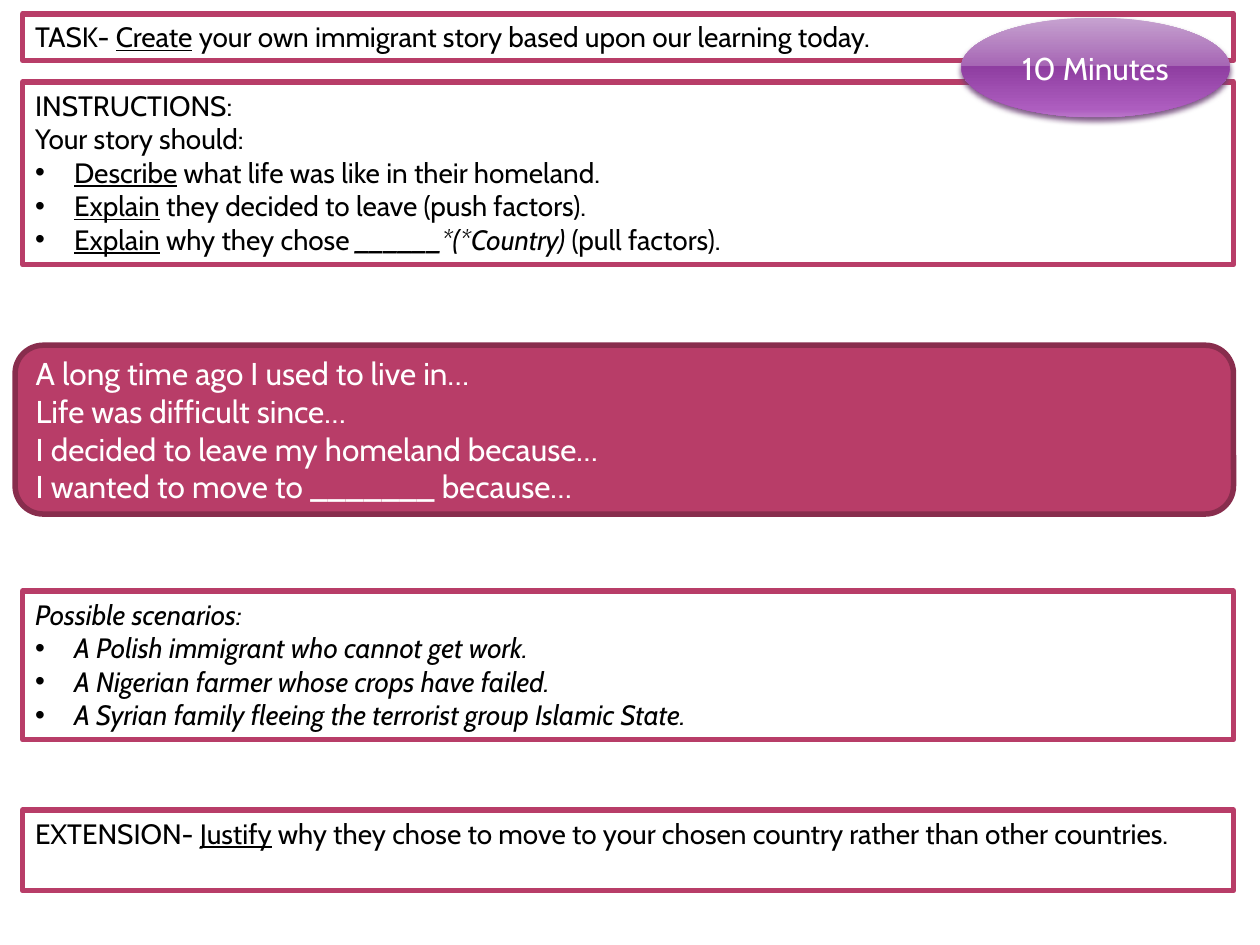
from dataclasses import dataclass

from lxml import etree
from pptx import Presentation
from pptx.dml.color import RGBColor
from pptx.enum.shapes import MSO_SHAPE
from pptx.enum.text import MSO_ANCHOR, PP_ALIGN
from pptx.oxml import parse_xml
from pptx.oxml.ns import nsdecls, qn
from pptx.util import Inches, Pt

RECTANGLE, ROUNDED, OVAL = MSO_SHAPE.RECTANGLE, MSO_SHAPE.ROUNDED_RECTANGLE, MSO_SHAPE.OVAL
TOP, MIDDLE = MSO_ANCHOR.TOP, MSO_ANCHOR.MIDDLE
LEFT, CENTER = PP_ALIGN.LEFT, PP_ALIGN.CENTER

WIDTH, HEIGHT = Inches(10), Inches(7.5)
COLUMNS, ROWS = 100, 75
PANEL_LEFT, PANEL_WIDTH = 1.8, 96.1  # columns


@dataclass(frozen=True)
class Theme:
    font: str = "Cabin"
    body: int = 16
    large: int = 18
    border: float = 3.15
    ink: str = "000000"
    paper: str = "FFFFFF"
    accent: str = "B83D68"
    accent_dark: str = "882D4D"
    shadow: str = "6A3F73"
    gloss: tuple = ((0, "C6A2D0"), (49, "A666B4"), (49, "8F3EA1"),
                    (92, "AD5DBF"), (100, "BA76CA"))


THEME = Theme()


def rgb(value):
    return RGBColor.from_string(value)


def add_box(page, kind, box, fill=None, line=None):
    """Add a shape at (column, row, columns wide, rows high)."""
    left, top, width, height = box
    shape = page.shapes.add_shape(
        kind, int(left * WIDTH / COLUMNS), int(top * HEIGHT / ROWS),
        int(width * WIDTH / COLUMNS), int(height * HEIGHT / ROWS))
    shape.shadow.inherit = False
    if fill:
        shape.fill.solid()
        shape.fill.fore_color.rgb = rgb(fill)
    if line:
        shape.line.color.rgb = rgb(line)
        shape.line.width = Pt(THEME.border)
    else:
        shape.line.fill.background()
    return shape


def add_bullet(para):
    properties = para._p.get_or_add_pPr()
    properties.set("marL", str(Inches(0.31)))
    properties.set("indent", str(-Inches(0.31)))
    etree.SubElement(properties, qn("a:buFont")).set("typeface", "Arial")
    etree.SubElement(properties, qn("a:buChar")).set("char", "•")


def write(shape, lines, size, color, anchor=TOP, align=LEFT, italic=None, bullets_from=None):
    """Write lines of spans; a span is plain text or a (text, style) pair."""
    frame = shape.text_frame
    frame.word_wrap = True
    frame.vertical_anchor = anchor
    for index, spans in enumerate(lines):
        para = frame.paragraphs[0] if index == 0 else frame.add_paragraph()
        if bullets_from is not None and index >= bullets_from:
            add_bullet(para)
        para.alignment = align
        para.font.name = THEME.font
        para.font.size = Pt(size)
        para.font.color.rgb = rgb(color)
        para.font.italic = italic
        for span in spans:
            text, style = (span, None) if isinstance(span, str) else span
            run = para.add_run()
            run.text = text
            if style:
                setattr(run.font, style, True)


def add_panel(page, top, height, lines, **options):
    shape = add_box(page, RECTANGLE, (PANEL_LEFT, top, PANEL_WIDTH, height),
                    THEME.paper, THEME.accent)
    write(shape, lines, THEME.body, THEME.ink, **options)


def add_timer(page, box, label):
    """Add the glossy oval that gives the time allowed."""
    oval = add_box(page, OVAL, box)
    stops = "".join(f'<a:gs pos="{place * 1000}"><a:srgbClr val="{color}"/></a:gs>'
                    for place, color in THEME.gloss)
    gradient = parse_xml(f'<a:gradFill {nsdecls("a")} rotWithShape="1"><a:gsLst>{stops}</a:gsLst>'
                         '<a:lin ang="5400000" scaled="0"/></a:gradFill>')
    properties = oval._element.spPr
    properties.find(qn("a:prstGeom")).addnext(gradient)
    properties.find(qn("a:effectLst")).append(parse_xml(
        f'<a:outerShdw {nsdecls("a")} blurRad="{Pt(3.1)}" dist="{Pt(2)}" dir="5400000" '
        f'rotWithShape="0"><a:srgbClr val="{THEME.shadow}"><a:alpha val="83000"/>'
        '</a:srgbClr></a:outerShdw>'))
    write(oval, [[label]], THEME.large, THEME.paper, MIDDLE, CENTER)


def add_story_starters(page, box, lines):
    shape = add_box(page, ROUNDED, box, THEME.accent, THEME.accent_dark)
    write(shape, lines, THEME.large, THEME.paper, MIDDLE)


def build_task_page(page):
    add_panel(page, 1.1, 3.7, [
        ["TASK- ", ("Create", "underline"),
         " your own immigrant story based upon our learning today."]])
    add_panel(page, 6.5, 14.5, [
        ["INSTRUCTIONS:"],
        ["Your story should:"],
        [("Describe", "underline"), " what life was like in their homeland."],
        [("Explain", "underline"), " they decided to leave (push factors)."],
        [("Explain", "underline"), " why they chose ",
         ("______*(*Country) ", "italic"), "(pull factors)."],
    ], bullets_from=2)
    add_timer(page, (76.3, 1.4, 21.3, 7.9), "10 Minutes")
    add_panel(page, 46.9, 11.8, [
        ["Possible scenarios:"],
        ["A Polish immigrant who cannot get work."],
        ["A Nigerian farmer whose crops have failed."],
        ["A Syrian family fleeing the terrorist group Islamic State."],
    ], italic=True, bullets_from=1)
    add_story_starters(page, (1.2, 27.4, 96.7, 13.4), [
        ["A long time ago I used to live in…"],
        ["Life was difficult since…"],
        ["I decided to leave my homeland because…"],
        ["I wanted to move to _______ because…"]])
    add_panel(page, 64.3, 6.4, [
        ["EXTENSION- ", ("Justify", "underline"),
         " why they chose to move to your chosen country rather than other countries."]])


def main():
    deck = Presentation()
    deck.slide_width, deck.slide_height = WIDTH, HEIGHT
    blank = deck.slide_layouts[6]
    build_task_page(deck.slides.add_slide(blank))
    deck.save("out.pptx")


if __name__ == "__main__":
    main()
